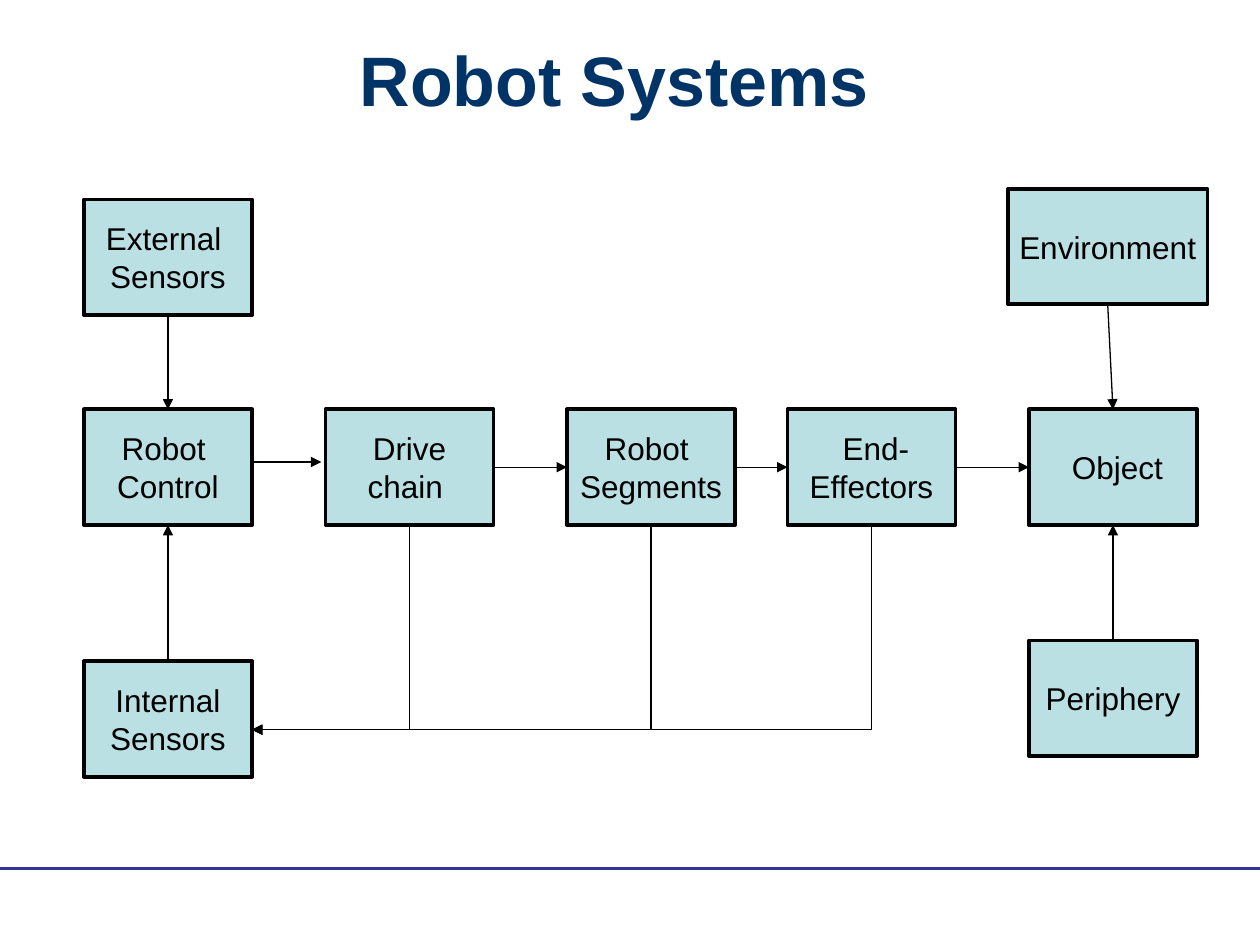
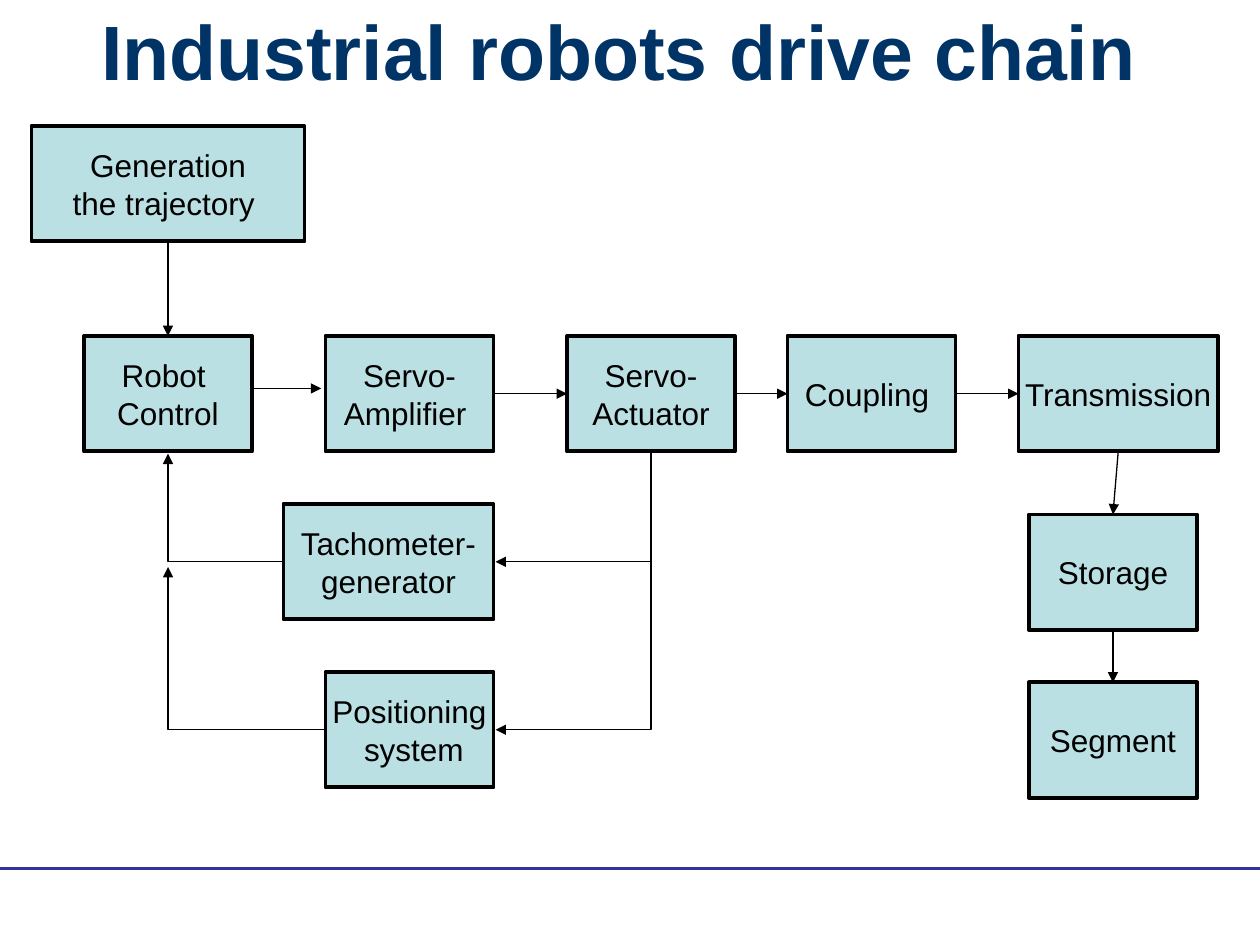
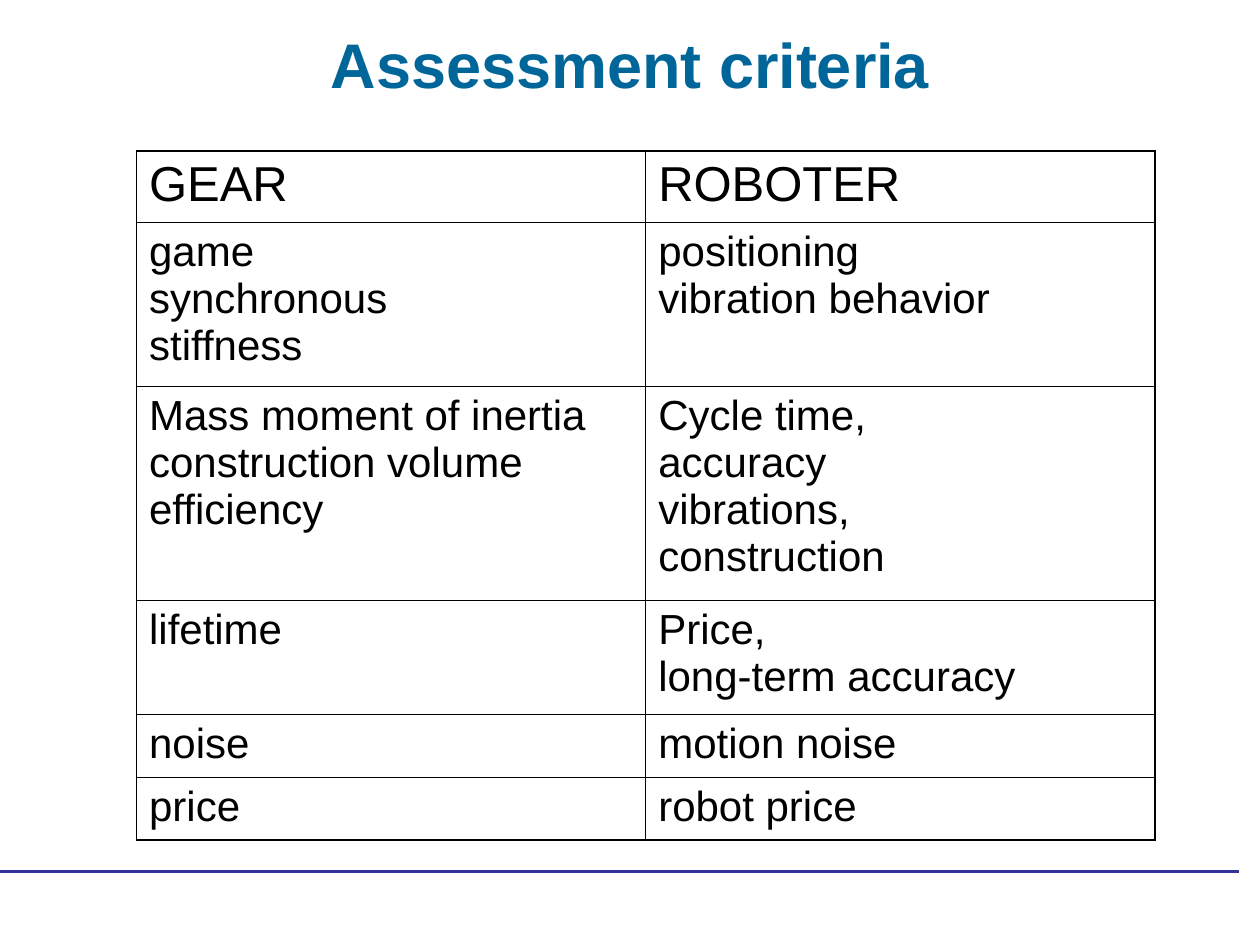
from dataclasses import dataclass
from typing import Any

from lxml.etree import SubElement
from pptx import Presentation
from pptx.dml.color import RGBColor
from pptx.enum.shapes import MSO_CONNECTOR, MSO_SHAPE
from pptx.enum.text import MSO_ANCHOR, MSO_AUTO_SIZE, PP_ALIGN
from pptx.oxml.ns import qn
from pptx.util import Emu, Inches, Pt

# The grid has 120 columns and 90 rows on a slide of 10 by 7.5 inches.
COLUMNS = 120
WIDTH, HEIGHT = Inches(10), Inches(7.5)
UNIT = WIDTH / COLUMNS
BOX_ROWS = 11
TOP, LEFT, BOTTOM, RIGHT = range(4)

COLORS = {
    "navy": "003366",
    "teal": "006699",
    "rule": "333399",
    "box": "BBE0E3",
    "ink": "000000",
}
FONT = "Arial"
THIN, THICK = 0.45, 1.08


@dataclass(frozen=True)
class Title:
    text: str
    row: float
    columns: float
    rows: float
    size: int
    color: str = "navy"


@dataclass(frozen=True)
class Box:
    text: str
    column: float
    row: float
    columns: float = 16


@dataclass(frozen=True)
class Link:
    """Straight arrow between the middles of two box sides."""
    start: str
    start_side: int
    end: str
    end_side: int


@dataclass(frozen=True)
class Elbow:
    """Arrow with one right-angled bend, given by its end points."""
    start: tuple[float, float]
    end: tuple[float, float]
    down_first: bool = True


@dataclass(frozen=True)
class Diagram:
    title: Title
    boxes: dict[str, Box]
    links: list[Link]
    elbows: list[Elbow]
    control_row: float


ROBOT_SYSTEMS = Diagram(
    Title("Robot Systems", 0, 117, 15, 40),
    {
        "external": Box("External \nSensors", 8, 19),
        "environment": Box("Environment", 96, 18, 19),
        "control": Box("Robot \nControl", 8, 39),
        "drive": Box("Drive\vchain ", 31, 39),
        "segments": Box("Robot \nSegments", 54, 39),
        "effectors": Box(" End-\nEffectors", 75, 39),
        "object": Box(" Object", 98, 39),
        "internal": Box("Internal\nSensors", 8, 63),
        "periphery": Box("Periphery", 98, 61),
    },
    [
        Link("external", BOTTOM, "control", TOP),
        Link("drive", RIGHT, "segments", LEFT),
        Link("segments", RIGHT, "effectors", LEFT),
        Link("effectors", RIGHT, "object", LEFT),
        Link("environment", BOTTOM, "object", TOP),
        Link("periphery", TOP, "object", BOTTOM),
        Link("internal", TOP, "control", BOTTOM),
    ],
    [Elbow((column, 50), (24, 69.5)) for column in (39, 62, 83)],
    39,
)

DRIVE_CHAIN = Diagram(
    Title("Industrial robots drive chain ", 0, 120, 9.4, 44),
    {
        "trajectory": Box("Generation\vthe trajectory ", 3, 12, 26),
        "control": Box("Robot \nControl", 8, 32),
        "amplifier": Box("Servo-\nAmplifier ", 31, 32),
        "actuator": Box("Servo-\nActuator", 54, 32),
        "coupling": Box("Coupling ", 75, 32),
        "transmission": Box("Transmission", 97, 32, 19),
        "tachometer": Box("Tachometer-\ngenerator", 27, 48, 20),
        "storage": Box("Storage", 98, 49),
        "segment": Box("Segment", 98, 65),
        "positioning": Box("Positioning\n system", 31, 64),
    },
    [
        Link("trajectory", BOTTOM, "control", TOP),
        Link("amplifier", RIGHT, "actuator", LEFT),
        Link("actuator", RIGHT, "coupling", LEFT),
        Link("coupling", RIGHT, "transmission", LEFT),
        Link("transmission", BOTTOM, "storage", TOP),
        Link("storage", BOTTOM, "segment", TOP),
    ],
    [
        Elbow((27, 53.5), (16, 43.2), down_first=False),
        Elbow((31, 69.5), (16, 54), down_first=False),
        Elbow((62, 43), (47.2, 69.5)),
        Elbow((62, 43), (47.2, 53.5)),
    ],
    32,
)

CRITERIA_TITLE = Title("Assessment criteria", 1, 120, 10, 36, "teal")
CRITERIA = [
    ("GEAR", "ROBOTER"),
    ("game\vsynchronous\vstiffness", "positioning\vvibration behavior"),
    ("Mass moment of inertia\vconstruction volume\vefficiency",
     "Cycle time,\vaccuracy\vvibrations,\vconstruction"),
    ("lifetime", "Price,\nlong-term accuracy"),
    ("noise", "motion noise"),
    ("price", "robot price"),
]
CRITERIA_ROWS = [6.8, 15.6, 20.4, 10.8, 6, 6]
CRITERIA_COLUMN = 48.5


def grid(*values: float) -> list[Emu]:
    return [Emu(round(value * UNIT)) for value in values]


def rgb(name: str) -> RGBColor:
    return RGBColor.from_string(COLORS[name])


def set_values(target: Any, values: dict[str, Any]) -> None:
    for name, value in values.items():
        setattr(target, name, value)


def format_text(text_frame: Any, size: float, color: str = "ink",
                bold: bool = False, paragraph_values: dict[str, Any] | None = None) -> None:
    for paragraph in text_frame.paragraphs:
        set_values(paragraph, paragraph_values or {})
        for run in paragraph.runs:
            set_values(run.font, {"name": FONT, "size": Pt(size), "bold": bold})
            run.font.color.rgb = rgb(color)


def add_titled_slide(presentation: Any, title: Title) -> Any:
    slide = presentation.slides.add_slide(presentation.slide_layouts[5])
    left, top, width, height = grid(0, title.row, title.columns, title.rows)
    shape = slide.shapes.title
    set_values(shape, {"left": left, "top": top, "width": width, "height": height})
    text_frame = shape.text_frame
    text_frame.text = title.text
    set_values(text_frame, {"vertical_anchor": MSO_ANCHOR.MIDDLE, "word_wrap": True,
                            "auto_size": MSO_AUTO_SIZE.NONE})
    format_text(text_frame, title.size, title.color, True, {"alignment": PP_ALIGN.CENTER})
    return slide


def style_line(connector: Any, width: float, color: str = "ink", arrow: bool = True) -> None:
    connector.line.color.rgb = rgb(color)
    connector.line.width = Pt(width)
    properties = connector.element.spPr
    if arrow:
        SubElement(properties.find(qn("a:ln")), qn("a:tailEnd"), type="triangle")
    SubElement(properties, qn("a:effectLst"))


def add_straight(slide: Any, start: tuple[float, float], end: tuple[float, float]) -> Any:
    return slide.shapes.add_connector(MSO_CONNECTOR.STRAIGHT, *grid(*start, *end))


def add_footer_rule(slide: Any, row: float = 82.7, column: float = 0) -> None:
    rule = add_straight(slide, (column, row), (column + COLUMNS, row))
    style_line(rule, 2, "rule", arrow=False)


def add_box(slide: Any, box: Box) -> Any:
    shape = slide.shapes.add_shape(MSO_SHAPE.FLOWCHART_PROCESS,
                                   *grid(box.column, box.row, box.columns, BOX_ROWS))
    shape.shadow.inherit = False
    shape.fill.solid()
    shape.fill.fore_color.rgb = rgb("box")
    shape.line.color.rgb = rgb("ink")
    shape.line.width = Pt(2.25)
    text_frame = shape.text_frame
    text_frame.text = box.text
    set_values(text_frame, {"vertical_anchor": MSO_ANCHOR.MIDDLE, "word_wrap": False})
    format_text(text_frame, 18, paragraph_values={"alignment": PP_ALIGN.CENTER})
    return shape


def add_link(slide: Any, shapes: dict[str, Any], link: Link) -> None:
    connector = add_straight(slide, (0, 0), (1, 1))
    connector.begin_connect(shapes[link.start], link.start_side)
    connector.end_connect(shapes[link.end], link.end_side)
    style_line(connector, 0.75)


def add_elbow(slide: Any, elbow: Elbow) -> None:
    """Turn the one-bend preset about its centre so that it runs from start to end."""
    (start_x, start_y), (end_x, end_y) = elbow.start, elbow.end
    width, height = abs(end_x - start_x), abs(end_y - start_y)
    if elbow.down_first:
        width, height = height, width
    left = (start_x + end_x - width) / 2
    top = (start_y + end_y - height) / 2
    connector = slide.shapes.add_connector(
        MSO_CONNECTOR.ELBOW, *grid(left, top, left + width, top + height))
    properties = connector.element.spPr
    properties.find(qn("a:prstGeom")).set("prst", "bentConnector2")
    degrees = 90 if elbow.down_first else 180
    properties.find(qn("a:xfrm")).set("rot", str(degrees * 60000))
    style_line(connector, 0.75)


def add_diagram(presentation: Any, diagram: Diagram) -> None:
    slide = add_titled_slide(presentation, diagram.title)
    shapes = {name: add_box(slide, box) for name, box in diagram.boxes.items()}
    for link in diagram.links:
        add_link(slide, shapes, link)
    control_arrow_row = diagram.control_row + 5
    style_line(add_straight(slide, (24, control_arrow_row), (30.6, control_arrow_row)), 0.75)
    for elbow in diagram.elbows:
        add_elbow(slide, elbow)
    add_footer_rule(slide)


def set_borders(cell: Any, outer_sides: dict[str, bool]) -> None:
    properties = cell._tc.get_or_add_tcPr()
    for side, is_outer in outer_sides.items():
        width = Pt(THICK if is_outer else THIN)
        border = SubElement(properties, qn(f"a:{side}"), w=str(width))
        fill = SubElement(border, qn("a:solidFill"))
        SubElement(fill, qn("a:srgbClr"), val=COLORS["ink"])


def add_criteria(presentation: Any) -> None:
    slide = add_titled_slide(presentation, CRITERIA_TITLE)
    frame = slide.shapes.add_table(
        len(CRITERIA), 2, *grid(13, 14.4, 2 * CRITERIA_COLUMN, sum(CRITERIA_ROWS)))
    table = frame.table
    set_values(table, {"first_row": False, "horz_banding": False})
    for column in table.columns:
        column.width = grid(CRITERIA_COLUMN)[0]
    last_row = len(CRITERIA) - 1
    for row_index, (texts, rows) in enumerate(zip(CRITERIA, CRITERIA_ROWS)):
        table.rows[row_index].height = grid(rows)[0]
        for column_index, text in enumerate(texts):
            cell = table.cell(row_index, column_index)
            cell.text = text
            is_header = row_index == 0
            space = 7 if is_header else 6 if column_index == 0 and row_index > 2 else 0
            format_text(cell.text_frame, 28 if is_header else 24,
                        paragraph_values={"space_before": Pt(space)})
            set_borders(cell, {"lnL": column_index == 0, "lnR": column_index == 1,
                               "lnT": is_header, "lnB": row_index == last_row})
            cell.fill.background()
    add_footer_rule(slide, 83, -2)


def main() -> None:
    presentation = Presentation()
    set_values(presentation, {"slide_width": WIDTH, "slide_height": HEIGHT})
    for diagram in (ROBOT_SYSTEMS, DRIVE_CHAIN):
        add_diagram(presentation, diagram)
    add_criteria(presentation)
    presentation.save("out.pptx")


if __name__ == "__main__":
    main()
